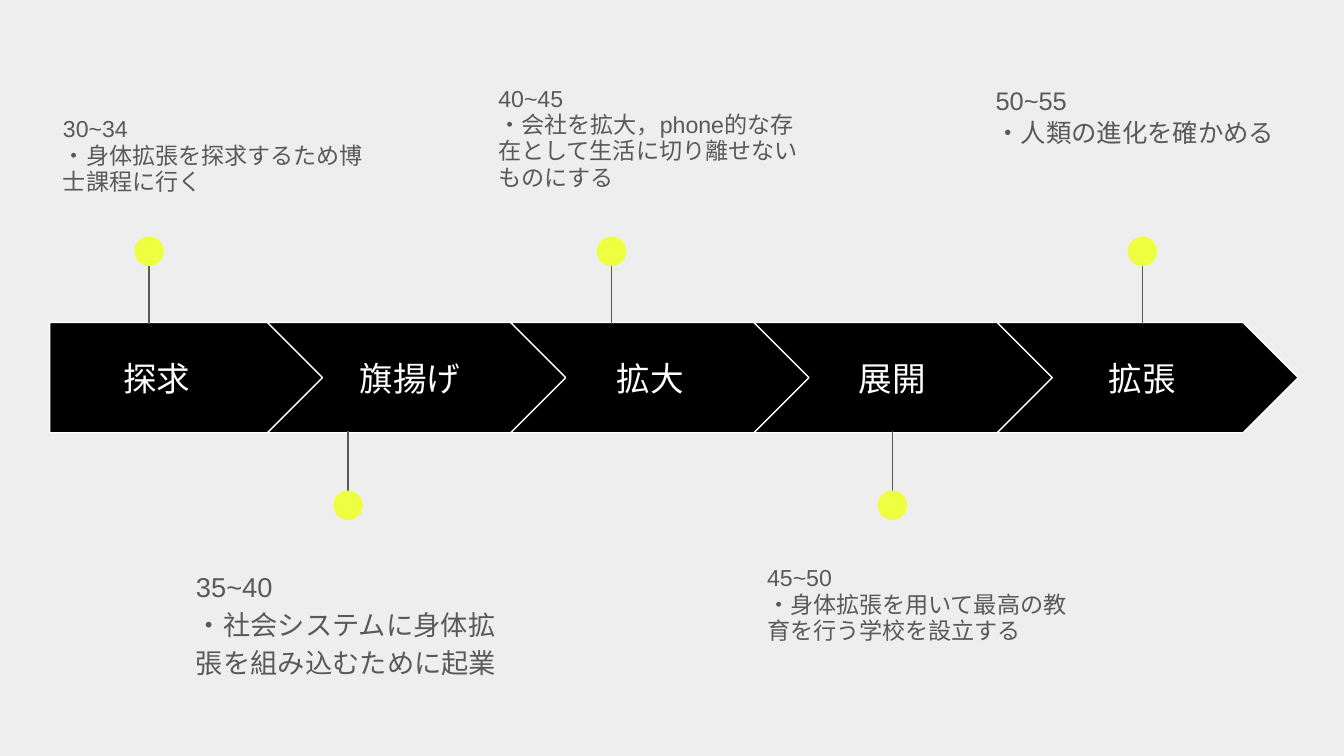
from lxml import etree
from pptx import Presentation
from pptx import util as u
from pptx.dml.color import RGBColor
from pptx.enum import shapes, text
from pptx.oxml.ns import qn

FONT = "Arial"
BLACK, WHITE, GRAY, YELLOW, PALE = "000000", "FFFFFF", "595959", "EEFF41", "EEEEEE"
BAR_TOP, BAR_HEIGHT = 2.4, 0.82
DOT = 0.22

STAGES = [
    ("探求", 0.37, 1.59, 1.11, True),
    ("旗揚げ", 2.33, 1.44, 2.59, False),
    ("拡大", 4.12, 1.44, 4.55, True),
    ("展開", 5.92, 1.44, 6.64, False),
    ("拡張", 7.78, 1.44, 8.5, True),
]
NOTES = [
    ("30~34", "・身体拡張を探求するため博士課程に行く", 0.37, 0.77, 0.99, 12.4, 0.95),
    ("35~40", "・社会システムに身体拡張を組み込むために起業", 1.36, 4.11, 0.99, 14.6, 1.15),
    ("40~45", "・会社を拡大，phone的な存在として生活に切り離せないものにする",
     3.61, 0.54, 1.14, 12.4, 0.95),
    ("45~50", "・身体拡張を用いて最高の教育を行う学校を設立する", 5.61, 4.11, 0.99, 12.4, 0.95),
    ("50~55", "・人類の進化を確かめる", 7.31, 0.52, 0.99, 13.6, 1.05),
]


def rgb(color):
    return RGBColor.from_string(color)


def add_box(s, kind, x, y, w, h, fill, line=None):
    sp = s.shapes.add_shape(kind, *map(u.Inches, (x, y, w, h)))
    sp.shadow.inherit = False
    sp.fill.solid()
    sp.fill.fore_color.rgb = rgb(fill)
    if line:
        sp.line.color.rgb = rgb(line)
        sp.line.width = u.Pt(0.75)
    else:
        sp.line.fill.background()
    return sp


def add_text(s, words, x, y, w, h, size, color):
    sp = s.shapes.add_textbox(*map(u.Inches, (x, y, w, h)))
    tf = sp.text_frame
    tf.word_wrap = True
    tf.margin_left = tf.margin_right = tf.margin_top = tf.margin_bottom = u.Inches(0.1)
    tf.text = words
    p = tf.paragraphs[0]
    p.font.size = u.Pt(size)
    p.font.color.rgb = rgb(color)
    p.font.name = FONT
    for r in p.runs:
        etree.SubElement(r._r.get_or_add_rPr(), qn("a:ea"), typeface=FONT)
    return tf


def add_label(s, words, x, w):
    tf = add_text(s, words, x, 2.56, w, 0.51, 18, WHITE)
    tf.vertical_anchor = text.MSO_ANCHOR.MIDDLE
    tf.paragraphs[0].alignment = text.PP_ALIGN.CENTER


def add_note(s, years, words, x, y, h, size, spacing):
    tf = add_text(s, f"{years}\v{words}", x, y, 2.45, h, size, GRAY)
    p = tf.paragraphs[0]
    p.line_spacing = spacing
    p.space_after = u.Pt(12)


def add_pin(s, x, above):
    start, end, dot_top = (1.8, 2.41, 1.76) if above else (3.82, 3.21, 3.65)
    line = s.shapes.add_connector(
        shapes.MSO_CONNECTOR.STRAIGHT, *map(u.Inches, (x, start, x, end)))
    line.line.color.rgb = rgb(GRAY)
    line.line.width = u.Pt(0.75)
    etree.SubElement(line._element.spPr, qn("a:effectLst"))
    add_box(s, shapes.MSO_SHAPE.OVAL, x - DOT / 2, dot_top, DOT, DOT, YELLOW)


def add_arrow(s, index):
    if index == 0:
        kind, x, w = shapes.MSO_SHAPE.PENTAGON, 0.37, 2.05
    else:
        kind, x, w = shapes.MSO_SHAPE.CHEVRON, 1.99 + 1.81 * (index - 1), 2.24
    sp = add_box(s, kind, x, BAR_TOP, w, BAR_HEIGHT, BLACK, WHITE)
    sp.adjustments[0] = 0.5


def main():
    prs = Presentation()
    prs.slide_width = u.Inches(10)
    prs.slide_height = prs.slide_width * 9 // 16
    s = prs.slides.add_slide(prs.slide_layouts[6])
    add_box(s, shapes.MSO_SHAPE.RECTANGLE, -0.02, 0, 10.02, 10 * 9 / 16, PALE)
    for i, (stage, note) in enumerate(zip(STAGES, NOTES)):
        name, x, w, pin_x, above = stage
        add_arrow(s, i)
        add_label(s, name, x, w)
        add_pin(s, pin_x, above)
        add_note(s, *note)
    prs.save("out.pptx")


if __name__ == "__main__":
    main()
